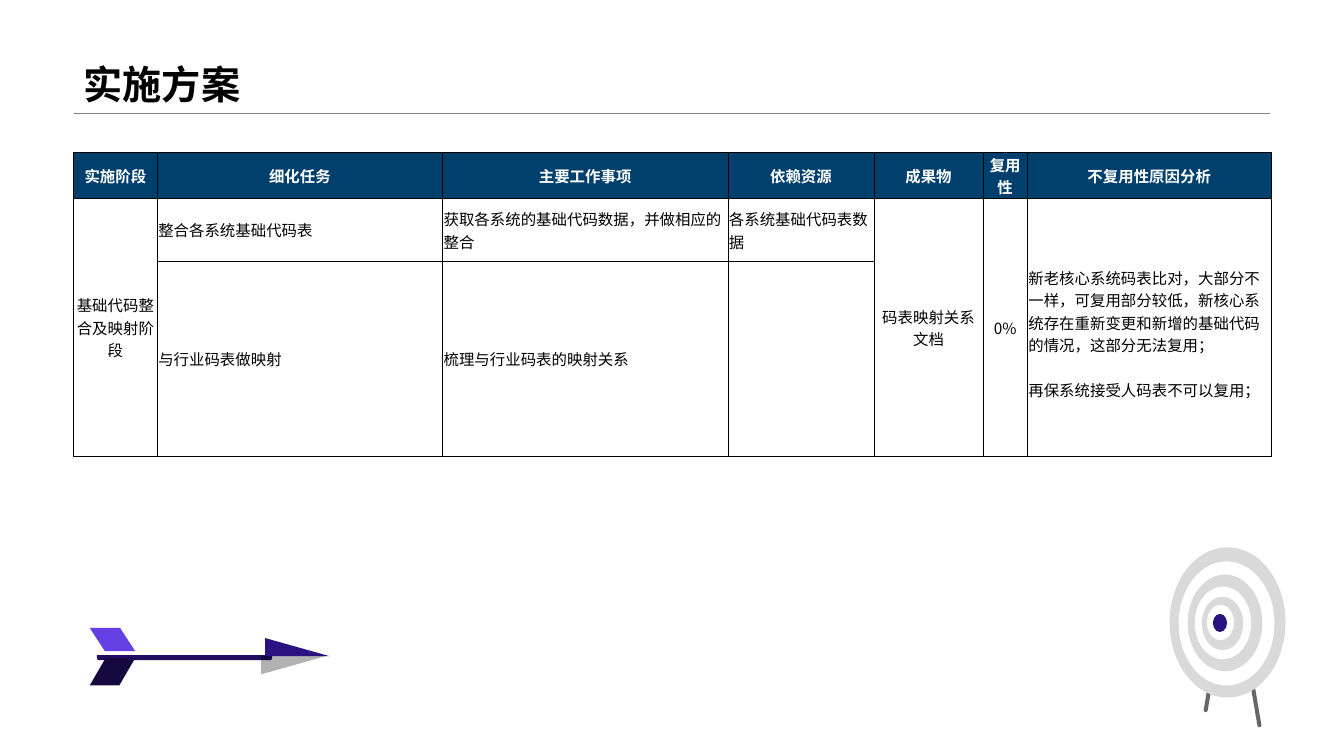
import pptx
import pptx.dml.color
import pptx.enum.shapes
import pptx.enum.text
import pptx.oxml
import pptx.oxml.ns
import pptx.util

Inches = pptx.util.Inches
Pt = pptx.util.Pt
SHAPE = pptx.enum.shapes.MSO_SHAPE
ALIGN = pptx.enum.text.PP_ALIGN
ANCHOR = pptx.enum.text.MSO_ANCHOR

BLACK, WHITE, NAVY = "000000", "FFFFFF", "013F6C"
RING_GREY, LEG_GREY = "D9D9D9", "666666"
VIOLET, INDIGO, SHAFT, DARK = "6540E4", "2B1281", "200D61", "150940"
CJK_FONT = "Noto Sans CJK SC"

COLUMN_WIDTHS = [0.83, 2.83, 2.83, 1.45, 1.08, 0.44, 2.42]
ROW_HEIGHTS = [0.45, 0.63, 1.93]
HEADERS = ["实施阶段", "细化任务", "主要工作事项", "依赖资源", "成果物", "复用性", "不复用性原因分析"]
MERGED_COLUMNS = [0, 4, 5, 6]
CENTERED_COLUMNS = [0, 4, 5]
REASONS = [
    "新老核心系统码表比对，大部分不一样，可复用部分较低，新核心系统存在重新变更和新增的基础代码的情况，这部分无法复用；",
    "再保系统接受人码表不可以复用；",
]
TASK_ROWS = [
    [["基础代码整合及映射阶段"], ["整合各系统基础代码表"], ["获取各系统的基础代码数据，并做相应的整合"],
     ["各系统基础代码表数据"], ["码表映射关系文档"], ["0%"], REASONS],
    [[], ["与行业码表做映射"], ["梳理与行业码表的映射关系"], [], [], [], []],
]


def color(hex_string):
    return pptx.dml.color.RGBColor.from_string(hex_string)


def add_run(paragraph, text, size, font_name, hex_color, bold):
    run = paragraph.add_run()
    run.text = text
    run.font.size = Pt(size)
    run.font.name = font_name
    run.font.bold = bold
    run.font.color.rgb = color(hex_color)
    east_asian = pptx.oxml.parse_xml(
        f'<a:ea {pptx.oxml.ns.nsdecls("a")} typeface="{CJK_FONT}"/>')
    run.font._element.append(east_asian)


def add_filled_shape(shapes, kind, left, top, width, height, hex_color,
                     rotation=0, adjustments=(), flip_vertical=False):
    shape = shapes.add_shape(kind, Inches(left), Inches(top), Inches(width), Inches(height))
    shape.shadow.inherit = False
    shape.fill.solid()
    shape.fill.fore_color.rgb = color(hex_color)
    shape.line.fill.background()
    shape.rotation = rotation
    for index, value in enumerate(adjustments):
        shape.adjustments[index] = value
    if flip_vertical:
        shape.element.spPr.xfrm.set("flipV", "1")
    return shape


def add_heading(slide, left, width, bottom):
    title = slide.shapes.title
    title.left, title.top = Inches(left), Inches(0)
    title.width, title.height = Inches(width), Inches(bottom)
    title.text_frame.vertical_anchor = ANCHOR.BOTTOM
    paragraph = title.text_frame.paragraphs[0]
    paragraph.alignment = ALIGN.LEFT
    paragraph.line_spacing = 0.9
    add_run(paragraph, "实施方案", 28, "Arial", BLACK, True)

    rule = slide.shapes.add_connector(
        pptx.enum.shapes.MSO_CONNECTOR.STRAIGHT,
        Inches(left), Inches(bottom), Inches(left + width), Inches(bottom))
    rule.line.color.rgb = color("808080")
    rule.line.width = Pt(0.25)
    rule.element.spPr.append(
        pptx.oxml.parse_xml(f'<a:effectLst {pptx.oxml.ns.nsdecls("a")}/>'))


def add_borders(cell):
    properties = cell._tc.get_or_add_tcPr()
    for side in ("lnL", "lnR", "lnT", "lnB"):
        properties.append(pptx.oxml.parse_xml(
            f'<a:{side} {pptx.oxml.ns.nsdecls("a")} w="{Pt(0.5)}">'
            f'<a:solidFill><a:srgbClr val="{BLACK}"/></a:solidFill></a:{side}>'))


def fill_cell(cell, texts, is_header, centered):
    """Format one cell and write each text as its own paragraph."""
    add_borders(cell)
    if is_header:
        cell.fill.solid()
        cell.fill.fore_color.rgb = color(NAVY)
    else:
        cell.fill.background()
    cell.margin_left = cell.margin_right = cell.margin_top = Inches(0.01)
    cell.margin_bottom = 0
    cell.vertical_anchor = ANCHOR.MIDDLE
    for index, text in enumerate(texts):
        paragraph = cell.text_frame.paragraphs[0]
        if index:
            paragraph = cell.text_frame.add_paragraph()
            paragraph.space_before = Pt(16)
        paragraph.alignment = ALIGN.CENTER if centered else ALIGN.LEFT
        add_run(paragraph, text, 11, CJK_FONT, WHITE if is_header else BLACK, is_header)


def add_plan_table(slide, left, top):
    rows = [[[header] for header in HEADERS]] + TASK_ROWS
    table = slide.shapes.add_table(
        len(rows), len(HEADERS), Inches(left), Inches(top),
        Inches(sum(COLUMN_WIDTHS)), Inches(sum(ROW_HEIGHTS))).table
    for column, width in zip(table.columns, COLUMN_WIDTHS):
        column.width = Inches(width)
    for row, height in zip(table.rows, ROW_HEIGHTS):
        row.height = Inches(height)
    for row_index, row in enumerate(rows):
        for column_index, texts in enumerate(row):
            is_header = row_index == 0
            fill_cell(table.cell(row_index, column_index), texts, is_header,
                      is_header or column_index in CENTERED_COLUMNS)
    for column_index in MERGED_COLUMNS:
        table.cell(1, column_index).merge(table.cell(2, column_index))
    table.cell(1, len(HEADERS) - 1).margin_top = Inches(0.13)


def add_target(slide, left, top):
    shapes = slide.shapes.add_group_shape().shapes
    for x, y, rotation in [(0.4, 0.87, 9.7), (0.81, 1.02, 350.3)]:
        add_filled_shape(shapes, SHAPE.ROUNDED_RECTANGLE, left + x, top + y,
                         0.04, 0.77, LEG_GREY, rotation, [0.5])
    rings = [(0, 0, 1.15, 1.49), (0.09, 0.14, 0.95, 1.23), (0.18, 0.27, 0.74, 0.96),
             (0.25, 0.39, 0.56, 0.72), (0.32, 0.49, 0.41, 0.53), (0.37, 0.57, 0.27, 0.35)]
    for index, (x, y, width, height) in enumerate(rings):
        add_filled_shape(shapes, SHAPE.OVAL, left + x, top + y, width, height,
                         WHITE if index % 2 else RING_GREY)
    add_filled_shape(shapes, SHAPE.OVAL, left + 0.43, top + 0.66, 0.14, 0.18, INDIGO)


def add_arrow(slide, left, top):
    shapes = slide.shapes
    add_filled_shape(shapes, SHAPE.ROUND_2_SAME_RECTANGLE, left + 0.07, top + 0.27,
                     1.74, 0.05, SHAFT, 180, [0.5, 0])
    add_filled_shape(shapes, SHAPE.PARALLELOGRAM, left, top + 0.3, 0.45, 0.27,
                     DARK, adjustments=[0.58])
    add_filled_shape(shapes, SHAPE.PARALLELOGRAM, left, top, 0.45, 0.23,
                     VIOLET, adjustments=[0.65], flip_vertical=True)
    shade = add_filled_shape(shapes, SHAPE.RIGHT_TRIANGLE, left + 1.7, top + 0.28,
                             0.64, 0.18, BLACK, flip_vertical=True)
    shade_color = shade.element.spPr.find(".//" + pptx.oxml.ns.qn("a:srgbClr"))
    shade_color.append(pptx.oxml.parse_xml(
        f'<a:alpha {pptx.oxml.ns.nsdecls("a")} val="30000"/>'))
    add_filled_shape(shapes, SHAPE.RIGHT_TRIANGLE, left + 1.74, top + 0.1,
                     0.64, 0.18, INDIGO)


def main():
    presentation = pptx.Presentation()
    presentation.slide_width = Inches(13.33)
    presentation.slide_height = Inches(7.5)
    slide = presentation.slides.add_slide(presentation.slide_layouts.get_by_name("Title Only"))
    add_heading(slide, left=0.73, width=11.87, bottom=1.12)
    add_target(slide, left=11.6, top=5.43)
    add_arrow(slide, left=0.89, top=6.23)
    add_plan_table(slide, left=0.73, top=1.51)
    presentation.save("out.pptx")


if __name__ == "__main__":
    main()
